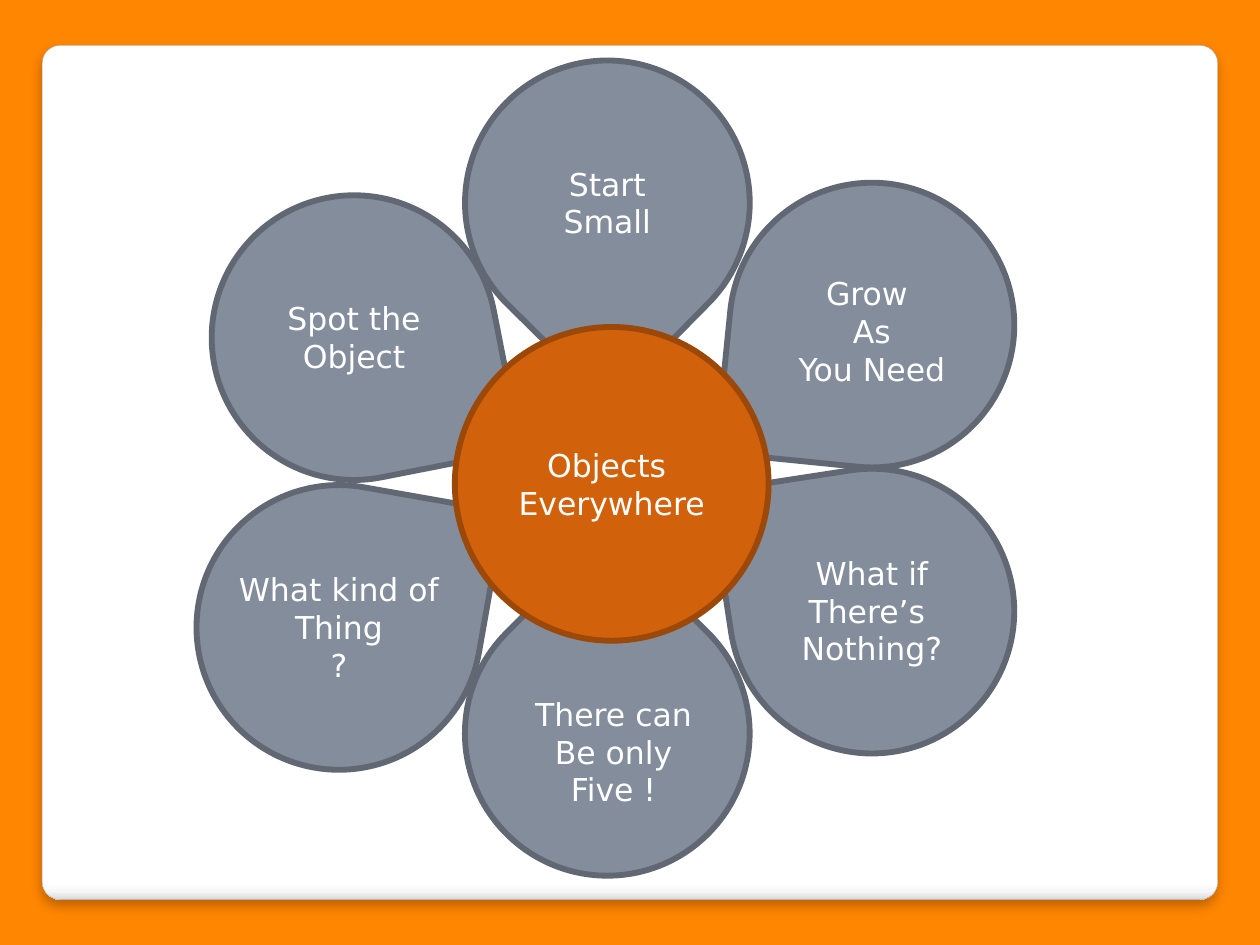
import pptx
import pptx.util
import pptx.dml.color
import pptx.enum.shapes
import pptx.enum.text
import pptx.oxml
import pptx.oxml.ns

COLORS = {
    "background": "FF8600", "panel_line": "A4A4A4",
    "petal": "838D9B", "petal_line": "616873",
    "center": "D2610C", "center_line": "9B4809", "text": "FFFFFF",
}
PANEL_STOPS = [(0, "FFFFFF"), (98, "FFFFFF"), (99, "F7F7F7"), (100, "DADADA")]
PETAL_SIZE = 22.6
PETALS = [
    (26.9, 49.8, 10, "What kind of\nThing\n?", 18.2, 0, 0),
    (69.2, 48.5, 261.3, "What if\nThere’s \nNothing?", 13.3, 0, 0),
    (48.2, 58.2, 314.8, "There can\nBe only\nFive !", 14.6, 0.5, 1.5),
    (28.1, 26.8, 78.9, "Spot the\nObject", 12.8, 0, 0),
    (69.2, 25.8, 185.7, "Grow \nAs\nYou Need", 13.9, 0, 0.5),
    (48.2, 16.1, 134.6, "Start\nSmall", 9.1, 0, 0),
]


def rgb(name):
    """Return the named colour."""
    return pptx.dml.color.RGBColor.from_string(COLORS[name])


def write(tf, text, size=18, font="DejaVu Sans", color="text"):
    """Fill a text frame with centred paragraphs, one for each line."""
    tf.text = text
    for p in tf.paragraphs:
        p.alignment = pptx.enum.text.PP_ALIGN.CENTER
        for r in p.runs:
            r.font.size = pptx.util.Pt(size)
            r.font.name = font
            r.font.color.rgb = rgb(color)


class Flower:
    """Holds the style and the slide, on a grid of 100 columns by 75 rows."""

    def __init__(self, prs):
        """Add an empty slide with its background."""
        self.s = prs.slides.add_slide(prs.slide_layouts[6])
        self.cell = prs.slide_width / 100
        self.line_width = 3.35
        fill = self.s.background.fill
        fill.solid()
        fill.fore_color.rgb = rgb("background")

    def box(self, cx, cy, w, h):
        """Turn a centre and a size in cells into a position and a size."""
        return [round(v * self.cell) for v in (cx - w / 2, cy - h / 2, w, h)]

    def shape(self, kind, cx, cy, w, h, fill, line, width=None, rotation=0):
        """Add a filled and outlined preset shape."""
        kind = getattr(pptx.enum.shapes.MSO_SHAPE, kind)
        sp = self.s.shapes.add_shape(kind, *self.box(cx, cy, w, h))
        sp.shadow.inherit = False
        sp.rotation = rotation
        sp.fill.solid()
        sp.fill.fore_color.rgb = rgb(fill)
        sp.line.color.rgb = rgb(line)
        sp.line.width = pptx.util.Pt(width or self.line_width)
        return sp

    def panel(self):
        """Add the rounded panel with its gradient and soft shadow."""
        sp = self.shape("ROUNDED_RECTANGLE", 50, 37.5, 93.3, 67.8,
                        "text", "panel_line", width=0.16)
        sp.adjustments[0] = 0.021
        ns = pptx.oxml.ns.nsdecls("a")
        stops = "".join(f'<a:gs pos="{at * 1000}"><a:srgbClr val="{color}"/></a:gs>'
                        for at, color in PANEL_STOPS)
        gradient = pptx.oxml.parse_xml(
            f'<a:gradFill {ns}><a:gsLst>{stops}</a:gsLst>'
            '<a:lin ang="5400000" scaled="0"/></a:gradFill>')
        shadow = pptx.oxml.parse_xml(
            f'<a:outerShdw {ns} blurRad="{pptx.util.Pt(6)}" dist="{pptx.util.Pt(4)}" '
            'dir="5400000" algn="ctr" rotWithShape="0"><a:srgbClr val="000000">'
            '<a:alpha val="25000"/></a:srgbClr></a:outerShdw>')
        props = sp.element.spPr
        props.replace(props.find(pptx.oxml.ns.qn("a:solidFill")), gradient)
        props.find(pptx.oxml.ns.qn("a:effectLst")).append(shadow)

    def petal(self, cx, cy, rotation):
        """Add a petal that points to the centre."""
        self.shape("TEAR", cx, cy, PETAL_SIZE, PETAL_SIZE,
                   "petal", "petal_line", rotation=rotation)

    def center(self, cx, cy, size, text):
        """Add the central disc with its text."""
        sp = self.shape("OVAL", cx, cy, size, size, "center", "center_line")
        sp.text_frame.vertical_anchor = pptx.enum.text.MSO_ANCHOR.MIDDLE
        write(sp.text_frame, text)

    def label(self, cx, cy, w, text):
        """Add a text box as high as its lines."""
        h = 1 + 3.03 * len(text.split("\n"))
        tf = self.s.shapes.add_textbox(*self.box(cx, cy, w, h)).text_frame
        tf.word_wrap = False
        tf.auto_size = pptx.enum.text.MSO_AUTO_SIZE.SHAPE_TO_FIT_TEXT
        write(tf, text)


def main():
    """Build the flower slide and save it."""
    prs = pptx.Presentation()
    prs.slide_width = pptx.util.Inches(10)
    prs.slide_height = pptx.util.Inches(7.5)
    flower = Flower(prs)
    flower.panel()
    for cx, cy, rotation, *_ in PETALS:
        flower.petal(cx, cy, rotation)
    flower.center(48.55, 38.4, 24.9, "Objects \nEverywhere")
    for cx, cy, _, text, w, dx, dy in PETALS:
        flower.label(cx + dx, cy + dy, w, text)
    prs.save("out.pptx")


if __name__ == "__main__":
    main()
